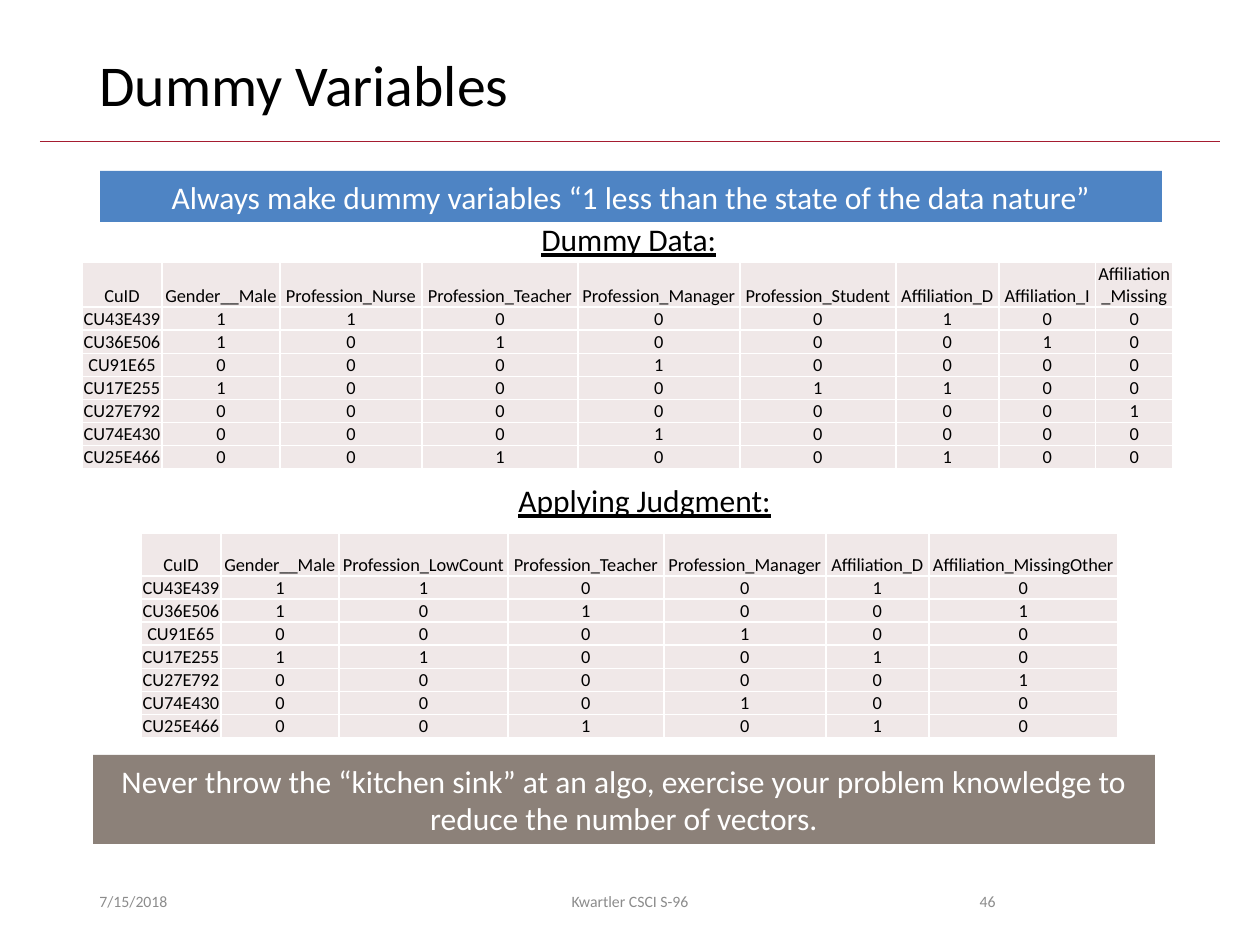
"""Build the Dummy Variables slide with its two indicator tables."""
from pptx import Presentation
from pptx import util as u
from pptx.dml.color import RGBColor
from pptx.enum import shapes, text
from pptx.oxml import parse_xml
from pptx.oxml.ns import nsdecls

FONT = "Calibri"
LEFT, MID, RIGHT = text.PP_ALIGN.LEFT, text.PP_ALIGN.CENTER, text.PP_ALIGN.RIGHT
TOP, CENTER, BOTTOM = (text.MSO_ANCHOR.TOP, text.MSO_ANCHOR.MIDDLE,
                       text.MSO_ANCHOR.BOTTOM)
BLACK, WHITE, GRAY, CELL, RULE = "000000", "FFFFFF", "8C8C8C", "F0E8E8", "A51C30"

LABELS = [
    ("Dummy Variables", (87, 50, 1086, 82), 33, BLACK, LEFT, TOP),
    ("7/15/2018", (87, 876, 284, 50), 9, GRAY, LEFT, CENTER),
    ("Kwartler CSCI S-96", (417, 876, 426, 50), 9, GRAY, MID, CENTER),
    ("46", (890, 876, 118, 50), 9, GRAY, RIGHT, CENTER),
]
HEADS = [
    ("Dummy Data:", (529, 214, 203, 50)),
    ("Applying Judgment:", (506, 475, 289, 50)),
]
BARS = [
    ("Always make dummy variables “1 less than the state of the data nature”",
     (100, 171, 1062, 51), "4E84C4"),
    ("Never throw the “kitchen sink” at an algo, exercise your problem "
     "knowledge to reduce the number of vectors.",
     (93, 755, 1062, 89), "8C8179"),
]
IDS = ["CU43E439", "CU36E506", "CU91E65", "CU17E255", "CU27E792", "CU74E430",
       "CU25E466"]
TABLES = [
    ((82, 262),
     [("CuID", 80), ("Gender__Male", 118), ("Profession_Nurse", 142),
      ("Profession_Teacher", 156), ("Profession_Manager", 162),
      ("Profession_Student", 156), ("Affiliation_D", 103),
      ("Affiliation_I", 97), ("Affiliation_Missing", 77)],
     ["11000100", "10100010", "00010000", "10001100", "00000001", "00010000",
      "00100100"]),
    ((141, 533),
     [("CuID", 80), ("Gender__Male", 118), ("Profession_LowCount", 169),
      ("Profession_Teacher", 156), ("Profession_Manager", 162),
      ("Affiliation_D", 103), ("Affiliation_MissingOther", 189)],
     ["110010", "101001", "000100", "110010", "000001", "000100", "001010"]),
]
HEAD_H, ROW_H = 43, 23


def px(n):
    return u.Emu(round(n * 914400 / 126))


def color(code):
    return RGBColor.from_string(code)


def write(frame, words, size, ink, align=LEFT, anchor=TOP, line=False):
    frame.vertical_anchor = anchor
    para = frame.paragraphs[0]
    para.text, para.alignment = words, align
    font = para.font
    font.name, font.size, font.color.rgb = FONT, u.Pt(size), color(ink)
    if line:
        para.runs[0].font.underline = True
    return para


def label(slide, words, box, *style, wrap=True, line=False):
    frame = slide.shapes.add_textbox(*map(px, box)).text_frame
    frame.word_wrap = wrap
    return write(frame, words, *style, line=line)


def bar(slide, words, box, fill):
    rect = slide.shapes.add_shape(shapes.MSO_SHAPE.RECTANGLE, *map(px, box))
    rect.shadow.inherit = False
    rect.fill.solid()
    rect.fill.fore_color.rgb = color(fill)
    rect.line.fill.background()
    rect.text_frame.word_wrap = True
    write(rect.text_frame, words, 18, WHITE, MID, CENTER)


def style(cell, words):
    cell.margin_left = cell.margin_top = cell.margin_right = px(1)
    cell.margin_bottom = 0
    write(cell.text_frame, words, 10.5, BLACK, MID)
    cell.vertical_anchor = BOTTOM
    props = cell._tc.get_or_add_tcPr()
    for side in ("lnL", "lnR", "lnT", "lnB"):
        props.append(parse_xml(
            f'<a:{side} {nsdecls("a")} w="12700"><a:solidFill>'
            f'<a:srgbClr val="{WHITE}"/></a:solidFill></a:{side}>'))
    cell.fill.solid()
    cell.fill.fore_color.rgb = color(CELL)


def grid(slide, spot, cols, bits):
    names, widths = zip(*cols)
    rows = [names] + [(key, *row) for key, row in zip(IDS, bits)]
    size = (sum(widths), HEAD_H + ROW_H * len(bits))
    table = slide.shapes.add_table(len(rows), len(cols),
                                   *map(px, spot + size)).table
    table.first_row = table.horz_banding = False
    for col, width in zip(table.columns, widths):
        col.width = px(width)
    for r, row in enumerate(rows):
        table.rows[r].height = px(ROW_H if r else HEAD_H)
        for c, words in enumerate(row):
            style(table.cell(r, c), words)


def main():
    deck = Presentation()
    deck.slide_width, deck.slide_height = px(1260), px(945)
    slide = deck.slides.add_slide(deck.slide_layouts[6])
    rule = slide.shapes.add_connector(shapes.MSO_CONNECTOR.STRAIGHT,
                                      *map(px, (40, 141, 1220, 141)))
    rule.line.color.rgb, rule.line.width = color(RULE), u.Pt(0.5)
    rule._element.spPr.append(parse_xml(f'<a:effectLst {nsdecls("a")}/>'))
    title, *_ = [label(slide, *item) for item in LABELS]
    title.line_spacing = 0.9
    for item in BARS:
        bar(slide, *item)
    for words, box in HEADS:
        label(slide, words, box, 18, BLACK, wrap=False, line=True)
    for item in TABLES:
        grid(slide, *item)
    deck.save("out.pptx")


if __name__ == "__main__":
    main()
